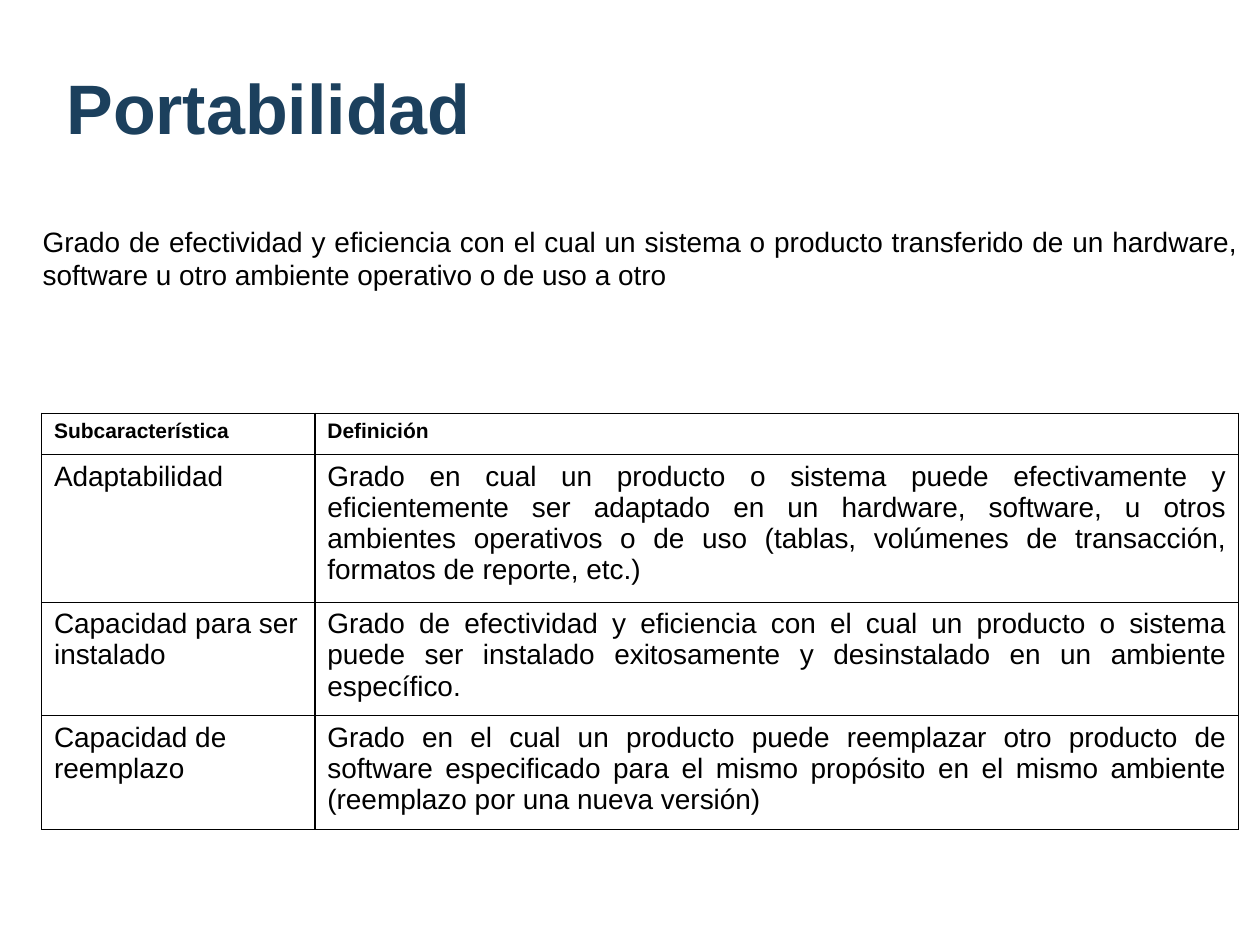
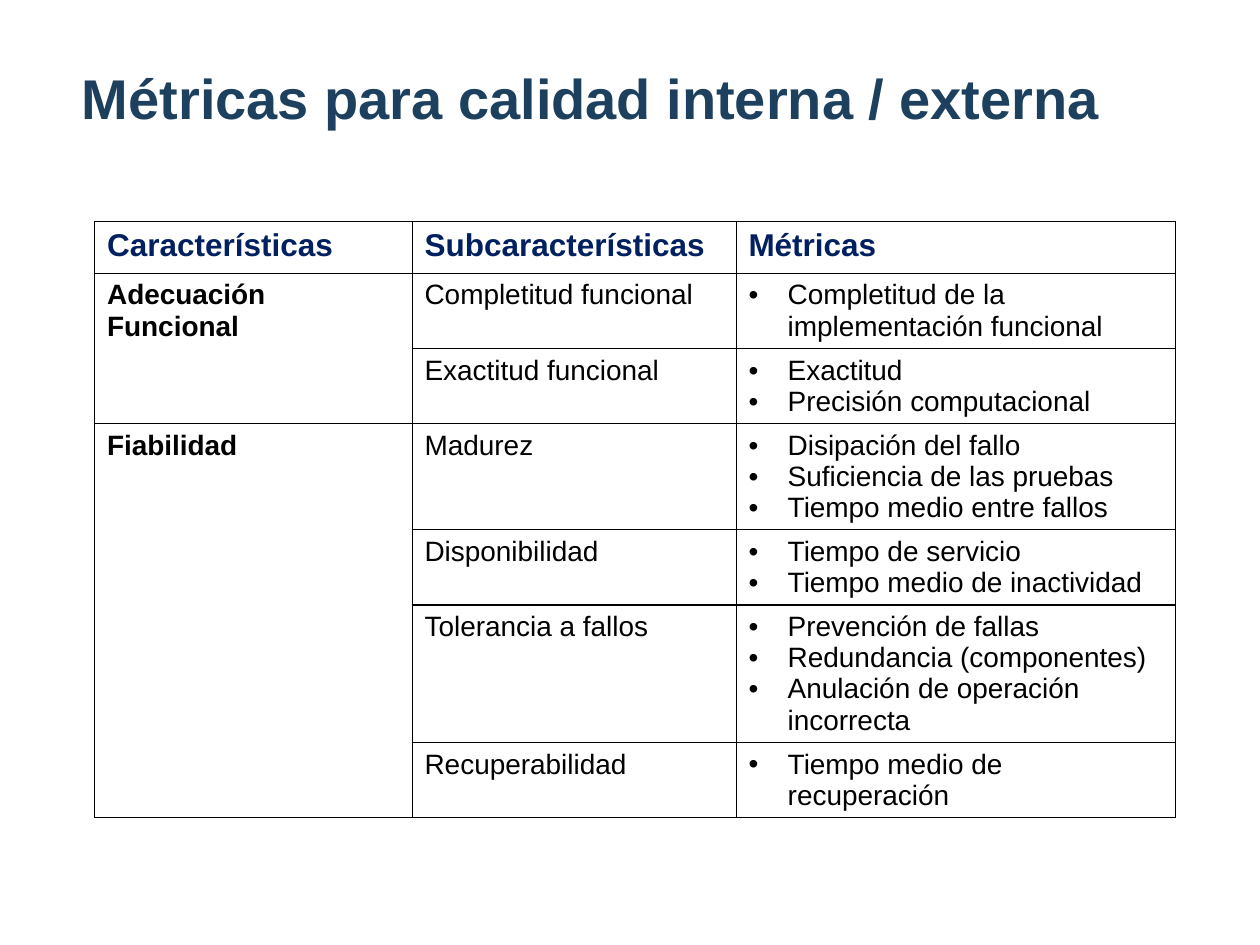
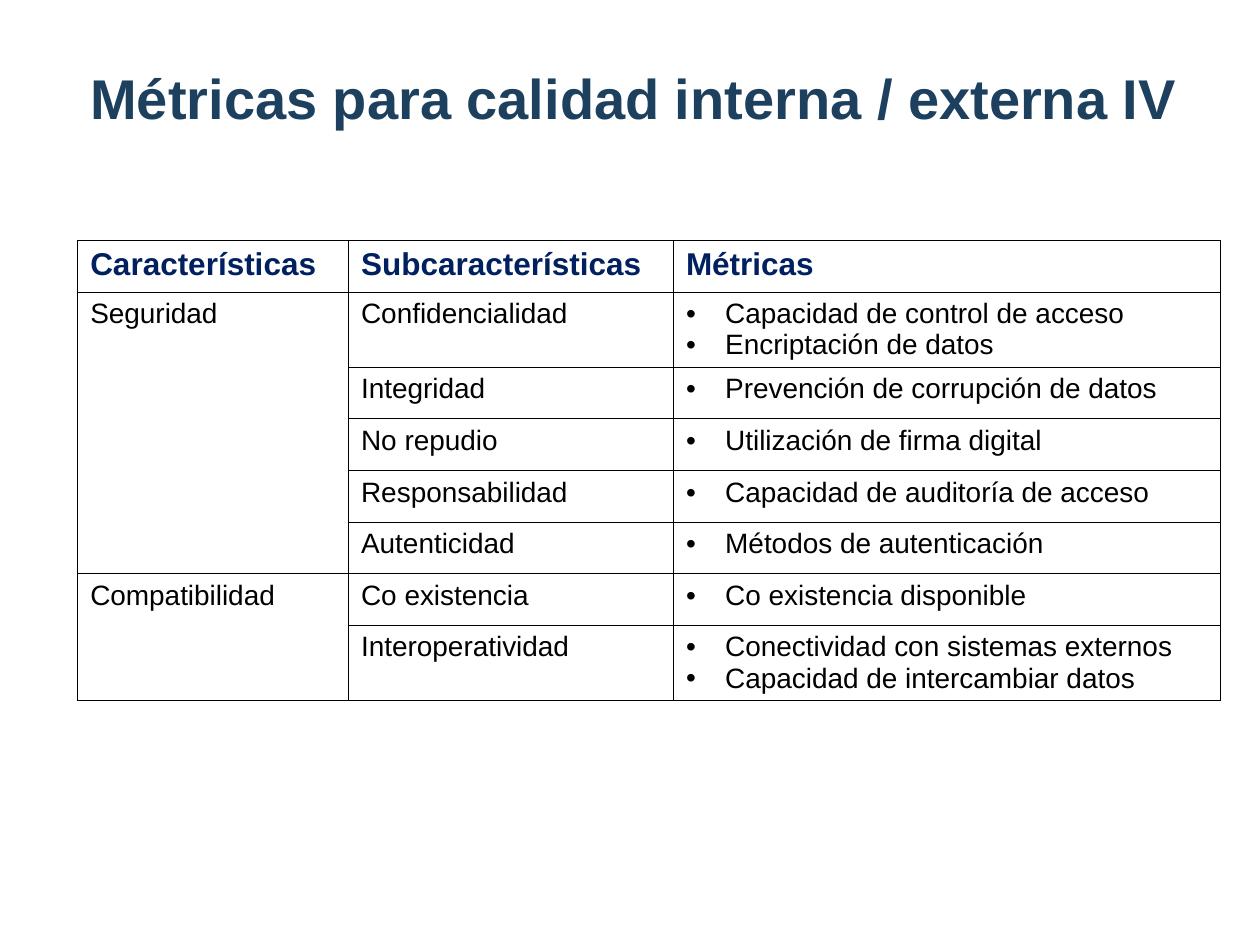
"""Build three slides on software quality characteristics and their metrics."""
import dataclasses

import lxml.etree
import pptx
import pptx.dml.color
import pptx.enum.text
import pptx.oxml.ns
import pptx.util

Cm = pptx.util.Cm
Pt = pptx.util.Pt
RGB = pptx.dml.color.RGBColor.from_string
ALIGN = pptx.enum.text.PP_ALIGN


@dataclasses.dataclass(frozen=True)
class Theme:
    font: str = "Arial"
    title: str = "1C405D"
    heading: str = "002060"
    ink: str = "000000"
    paper: str = "FFFFFF"
    big_title: int = 40
    small_title: int = 32
    heading_size: int = 18
    text_size: int = 16
    label_size: int = 12
    border: float = 0.75
    margin: float = 0.25
    narrow_margin: float = 0.13
    indent: float = 0.79
    metric_row: float = 1.04


THEME = Theme()

PORTABILITY = {
    "title": "Portabilidad",
    "title_at": (1.09, 0.53, 22.86, 2.72),
    "summary": "Grado de efectividad y eficiencia con el cual un sistema o producto transferido "
               "de un hardware, software u otro ambiente operativo o de uso a otro",
    "summary_at": (0.61, 4.39, 24.59, 1.63),
    "table_at": (0.84, 8.33),
    "widths": (5.51, 18.62),
    "heights": (0.84, 1.45, 1.52, 1.47),
    "headings": ("Subcaracterística", "Definición"),
    "definitions": [
        ("Adaptabilidad",
         "Grado en cual un producto o sistema puede efectivamente y eficientemente ser adaptado "
         "en un hardware, software, u otros ambientes operativos o de uso (tablas, volúmenes de "
         "transacción, formatos de reporte, etc.)"),
        ("Capacidad para ser instalado",
         "Grado de efectividad y eficiencia con el cual un producto o sistema puede ser "
         "instalado exitosamente y desinstalado en un ambiente específico."),
        ("Capacidad de reemplazo",
         "Grado en el cual un producto puede reemplazar otro producto de software especificado "
         "para el mismo propósito en el mismo ambiente (reemplazo por una nueva versión)"),
    ],
}

METRIC_HEADINGS = ("Características", "Subcaracterísticas", "Métricas")

METRIC_PAGES = [
    {
        "title": "Métricas para calidad interna / externa",
        "title_at": (1.4, 0.76, 24, 2.13),
        "table_at": (1.91, 4.47),
        "widths": (6.4, 6.53, 8.86),
        "bold_features": True,
        "features": [
            ("Adecuación Funcional", [
                ("Completitud funcional", ["Completitud de la implementación funcional"]),
                ("Exactitud funcional", ["Exactitud", "Precisión computacional"]),
            ]),
            ("Fiabilidad", [
                ("Madurez", ["Disipación del fallo", "Suficiencia de las pruebas",
                             "Tiempo medio entre fallos"]),
                ("Disponibilidad", ["Tiempo de servicio", "Tiempo medio de inactividad"]),
                ("Tolerancia a fallos", ["Prevención de fallas", "Redundancia (componentes)",
                                         "Anulación de operación incorrecta"]),
                ("Recuperabilidad", ["Tiempo medio de recuperación"]),
            ]),
        ],
    },
    {
        "title": "Métricas para calidad interna / externa IV",
        "title_at": (1.57, 0.76, 23.83, 2.13),
        "table_at": (1.57, 4.85),
        "widths": (5.46, 6.55, 11.02),
        "bold_features": False,
        "features": [
            ("Seguridad", [
                ("Confidencialidad", ["Capacidad de control de acceso", "Encriptación de datos"]),
                ("Integridad", ["Prevención de corrupción de datos"]),
                ("No repudio", ["Utilización de firma digital"]),
                ("Responsabilidad", ["Capacidad de auditoría de acceso"]),
                ("Autenticidad", ["Métodos de autenticación"]),
            ]),
            ("Compatibilidad", [
                ("Co existencia", ["Co existencia disponible"]),
                ("Interoperatividad", ["Conectividad con sistemas externos",
                                       "Capacidad de intercambiar datos"]),
            ]),
        ],
    },
]


def add_element(parent, tag, **attributes):
    return lxml.etree.SubElement(parent, pptx.oxml.ns.qn(tag), attributes)


def add_bullet(para):
    properties = para._p.get_or_add_pPr()
    properties.set("marL", str(Cm(THEME.indent)))
    properties.set("indent", str(-Cm(THEME.indent)))
    add_element(add_element(properties, "a:buClr"), "a:srgbClr", val=THEME.ink)
    add_element(properties, "a:buFont", typeface=THEME.font)
    add_element(properties, "a:buChar", char="•")


def write(frame, text, size, color=THEME.ink, bold=False, align=ALIGN.LEFT, bullets=False):
    frame.text = text
    for para in frame.paragraphs:
        para.alignment = align
        if bullets:
            add_bullet(para)
        for span in para.runs:
            span.font.name = THEME.font
            span.font.size = Pt(size)
            span.font.bold = bold
            span.font.color.rgb = RGB(color)


def set_margins(frame, side, upright):
    frame.margin_left = frame.margin_right = Cm(side)
    frame.margin_top = frame.margin_bottom = Cm(upright)


def add_page(deck, title, title_at, size, align):
    page = deck.slides.add_slide(deck.slide_layouts[5])
    box = page.shapes.title
    box.left, box.top, box.width, box.height = map(Cm, title_at)
    frame = box.text_frame
    frame.word_wrap = True
    frame.auto_size = pptx.enum.text.MSO_AUTO_SIZE.NONE
    frame.vertical_anchor = pptx.enum.text.MSO_ANCHOR.BOTTOM
    set_margins(frame, THEME.margin, THEME.margin)
    write(frame, title, size, THEME.title, True, align)
    return page


def style_cell(cell):
    set_margins(cell, THEME.margin, THEME.narrow_margin)
    properties = cell._tc.get_or_add_tcPr()
    for side in ("a:lnL", "a:lnR", "a:lnT", "a:lnB"):
        line = add_element(properties, side, w=str(Pt(THEME.border)))
        add_element(add_element(line, "a:solidFill"), "a:srgbClr", val=THEME.ink)
    cell.fill.solid()
    cell.fill.fore_color.rgb = RGB(THEME.paper)


def add_grid(page, table_at, widths, heights, headings, size, color):
    left, top = table_at
    table = page.shapes.add_table(len(heights), len(widths), Cm(left), Cm(top),
                                  Cm(sum(widths)), Cm(sum(heights))).table
    table.first_row = table.horz_banding = False
    for column, width in zip(table.columns, widths):
        column.width = Cm(width)
    for row, height in zip(table.rows, heights):
        row.height = Cm(height)
    for cell in table.iter_cells():
        style_cell(cell)
    for index, heading in enumerate(headings):
        write(table.cell(0, index).text_frame, heading, size, color, True)
    return table


def add_portability_page(deck, data):
    page = add_page(deck, data["title"], data["title_at"], THEME.big_title, ALIGN.LEFT)
    frame = page.shapes.add_textbox(*map(Cm, data["summary_at"])).text_frame
    frame.word_wrap = True
    set_margins(frame, THEME.margin, THEME.narrow_margin)
    write(frame, data["summary"], THEME.text_size, align=ALIGN.JUSTIFY)
    table = add_grid(page, data["table_at"], data["widths"], data["heights"],
                     data["headings"], THEME.label_size, THEME.ink)
    for row, (name, definition) in enumerate(data["definitions"], 1):
        write(table.cell(row, 0).text_frame, name, THEME.text_size)
        write(table.cell(row, 1).text_frame, definition, THEME.text_size, align=ALIGN.JUSTIFY)


def add_metric_page(deck, data):
    page = add_page(deck, data["title"], data["title_at"], THEME.small_title, ALIGN.JUSTIFY)
    row_count = 1 + sum(len(parts) for _, parts in data["features"])
    table = add_grid(page, data["table_at"], data["widths"], [THEME.metric_row] * row_count,
                     METRIC_HEADINGS, THEME.heading_size, THEME.heading)
    row = 1
    for feature, parts in data["features"]:
        feature_cell = table.cell(row, 0)
        feature_cell.merge(table.cell(row + len(parts) - 1, 0))
        write(feature_cell.text_frame, feature, THEME.text_size, bold=data["bold_features"])
        for name, metrics in parts:
            write(table.cell(row, 1).text_frame, name, THEME.text_size)
            write(table.cell(row, 2).text_frame, "\n".join(metrics), THEME.text_size,
                  bullets=True)
            row += 1


def main():
    deck = pptx.Presentation()
    deck.slide_width, deck.slide_height = Cm(25.4), Cm(19.05)
    add_portability_page(deck, PORTABILITY)
    for data in METRIC_PAGES:
        add_metric_page(deck, data)
    deck.save("out.pptx")


if __name__ == "__main__":
    main()
